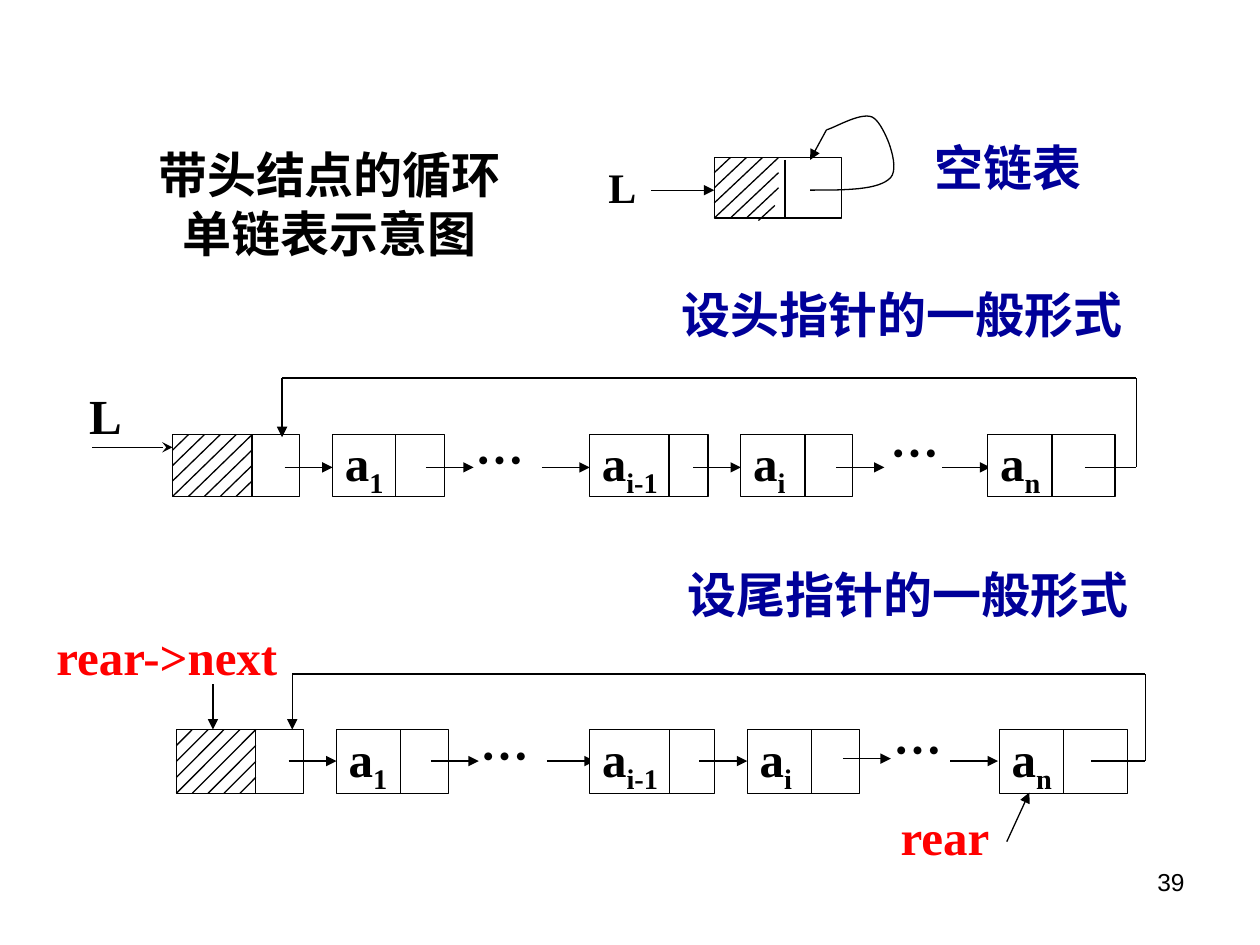
from collections import namedtuple
from dataclasses import dataclass

from pptx import Presentation
from pptx.dml.color import RGBColor
from pptx.enum.shapes import MSO_CONNECTOR, MSO_SHAPE
from pptx.enum.text import MSO_ANCHOR, PP_ALIGN
from pptx.oxml.ns import qn
from pptx.util import Pt
from lxml.etree import SubElement

Box = namedtuple("Box", "x y w h")
Node = namedtuple("Node", "sub x w split starts")


@dataclass(frozen=True)
class Theme:
    black: RGBColor = RGBColor(0, 0, 0)
    white: RGBColor = RGBColor(255, 255, 255)
    blue: RGBColor = RGBColor(0, 0, 0x99)
    red: RGBColor = RGBColor(255, 0, 0)
    serif: str = "Times New Roman"
    hans: str = "Noto Sans CJK SC"
    sans: str = "Arial"
    big: int = 28
    mid: int = 24
    small: int = 14
    rule: float = 0.75
    arrow: float = 27.4


theme = Theme()


def apply(item, values):
    for name, value in values.items():
        setattr(item, name, value)


def within(box, x, y, w, h):
    return Box(box.x + x, box.y + y, w, h)


def write(shape, text, sub="", align=PP_ALIGN.JUSTIFY, anchor=MSO_ANCHOR.MIDDLE,
          space=0.8, face=theme.serif, size=theme.big, color=theme.black, bold=True):
    frame = shape.text_frame
    apply(frame, {"word_wrap": True, "vertical_anchor": anchor,
                  "margin_left": Pt(7.2), "margin_right": Pt(7.2),
                  "margin_top": Pt(3.6), "margin_bottom": Pt(3.6)})
    para = frame.paragraphs[0]
    apply(para, {"alignment": align, "line_spacing": space})
    for part, base in ((text, 0), (sub, -25000)):
        if not part:
            continue
        run = para.add_run()
        run.text = part
        apply(run.font, {"name": face, "size": Pt(size), "bold": bold})
        run.font.color.rgb = color
        props = run._r.get_or_add_rPr()
        SubElement(props, qn("a:ea")).set("typeface", theme.hans)
        if base:
            props.set("baseline", str(base))


def label(slide, box, text, **look):
    write(slide.shapes.add_textbox(*map(Pt, box)), text, **look)


def title(slide, box, text, color=theme.blue, align=PP_ALIGN.CENTER):
    label(slide, box, text, color=color, align=align, face=theme.hans,
          anchor=MSO_ANCHOR.TOP, space=1.0)


def line(slide, box, start, end, head=None):
    ends = (box.x + start[0], box.y + start[1], box.x + end[0], box.y + end[1])
    wire = slide.shapes.add_connector(MSO_CONNECTOR.STRAIGHT, *map(Pt, ends))
    wire.line.color.rgb = theme.black
    wire.line.width = Pt(theme.rule)
    props = wire._element.spPr
    if head:
        SubElement(props.find(qn("a:ln")), qn("a:tailEnd")).set("type", head)
    SubElement(props, qn("a:effectLst"))


def block(slide, box, edge=True):
    shape = slide.shapes.add_shape(MSO_SHAPE.RECTANGLE, *map(Pt, box))
    shape.shadow.inherit = False
    shape.fill.solid()
    shape.fill.fore_color.rgb = theme.white
    if edge:
        shape.line.color.rgb = theme.black
        shape.line.width = Pt(theme.rule)
    else:
        shape.line.fill.background()
    return shape


def hatch(slide, box, cols, count):
    dx, dy = box.w / cols, box.h / 4
    for k in range(1, count + 1):
        line(slide, box, (min(k, cols) * dx, max(0, k - cols) * dy),
             (max(0, k - 4) * dx, min(k, 4) * dy))


def curve(slide, box, start, bends):
    spots, last = [], start
    for bend in bends:
        knots = (last, *bend)
        for step in range(1, 17):
            t = step / 16
            mix = ((1 - t) ** 3, 3 * t * (1 - t) ** 2, 3 * t * t * (1 - t), t ** 3)
            spots.append(tuple(Pt(base + sum(m * p[axis] for m, p in zip(mix, knots)))
                               for axis, base in enumerate((box.x, box.y))))
        last = bend[-1]
    pen = slide.shapes.build_freeform(Pt(box.x + start[0]), Pt(box.y + start[1]))
    pen.add_line_segments(spots, close=False)
    shape = pen.convert_to_shape()
    shape.shadow.inherit = False
    shape.fill.background()
    shape.line.color.rgb = theme.black
    shape.line.width = Pt(theme.rule)


def empty(slide, box):
    block(slide, box)
    hatch(slide, within(box, 0, 0, 36.7, box.h), 4, 6)
    line(slide, box, (34.6, 27.4), (25.2, 36))
    line(slide, box, (40.3, 1.4), (40.3, 35.3))
    line(slide, box, (64.1, -15.8), (54.7, 1.4), "triangle")
    line(slide, box, (-36, 18.7), (0, 18.7), "triangle")
    curve(slide, box, (54.7, 18.7), (
        ((74.9, 18.7), (94.3, 18.7), (100.8, 11.5)),
        ((106.6, 5), (97.2, -18), (91.4, -22.3)),
        ((85.7, -27.4), (68.4, -16.6), (64.1, -15.8))))
    label(slide, within(box, -69.1, -2.9, 31.7, 38.9), "L",
          align=PP_ALIGN.RIGHT, size=theme.mid, space=1.0)
    title(slide, within(box, 100.1, -15.1, 135.4, 41), "空链表")


def chain(slide, box, nodes, dots, loop, mid, dip=0, drop=0):
    for x, y in dots:
        write(block(slide, within(box, x, y, 54.7, box.h), False), "…", face=theme.hans)
    block(slide, within(box, 0, 0, 72.7, box.h))
    hatch(slide, within(box, 0, 0, 45.4, box.h), 5, 8)
    line(slide, box, (45.4, 0), (45.4, box.h))
    for node in nodes:
        for i, x in enumerate(node.starts):
            y = mid - dip if node.sub == "n" and i == 0 else mid
            line(slide, box, (x, y), (x + theme.arrow, y), "triangle")
        cell = within(box, node.x, 0, node.w, box.h)
        write(block(slide, cell), "a", node.sub)
        line(slide, cell, (node.split, 0), (node.split, box.h))
    left, top, tail = loop
    line(slide, box, (tail, mid), (box.w, mid))
    line(slide, box, (box.w, top), (box.w, mid))
    line(slide, box, (left, top), (box.w, top))
    line(slide, box, (left, top), (left, drop), "triangle")


def front(slide, box):
    chain(slide, box, (
        Node("1", 91.4, 64, 36, (64.1,)),
        Node("i-1", 238.3, 67.7, 45.4, (144.7, 211)),
        Node("i", 324.7, 64, 36.7, (297.4,)),
        Node("n", 465.8, 72.7, 36.7, (379.4, 439.9))),
        dots=((166.3, 0), (403.2, -4.3)), loop=(62.6, -32.4, 521.3), mid=18.7, drop=1.4)
    line(slide, box, (-46, 7.2), (0, 7.2), "stealth")
    label(slide, within(box, -54.7, -26.6, 34.6, 36.7), "L")
    title(slide, within(box, 275, -89.3, 283.7, 41), "设头指针的一般形式")


def rear(slide, box):
    chain(slide, box, (
        Node("1", 91.4, 64, 36.7, (64.1,)),
        Node("i-1", 236.2, 71.3, 45.4, (145.4, 211.7)),
        Node("i", 326.2, 64, 36.7, (298.8,)),
        Node("n", 470.2, 73.4, 36.7, (380.9, 442.1))),
        dots=((167, 0), (402.5, -3.6)), loop=(66.2, -31.7, 522.7), mid=18, dip=1.4)
    line(slide, box, (20.9, -25.9), (20.9, 0), "triangle")
    line(slide, box, (474.5, 64.1), (487.4, 36), "triangle")
    label(slide, within(box, -75.6, -65.5, 153.4, 52.6), "rear->next", color=theme.red)
    label(slide, within(box, 406.8, 46.8, 75.6, 34.6), "rear", color=theme.red)
    title(slide, within(box, 285.1, -97.9, 308.9, 41), "设尾指针的一般形式",
          align=PP_ALIGN.LEFT)


def main():
    deck = Presentation()
    apply(deck, {"slide_width": Pt(720), "slide_height": Pt(540)})
    slide = deck.slides.add_slide(deck.slide_layouts[6])
    empty(slide, Box(408.2, 90, 72.7, 34.6))
    front(slide, Box(98.6, 248.4, 550.8, 35.3))
    rear(slide, Box(100.8, 416.9, 553.7, 36.4))
    title(slide, Box(73.4, 79.2, 229.7, 74.9), "带头结点的循环单链表示意图", theme.black)
    label(slide, Box(516.2, 491.8, 167.8, 37.4), "39", align=PP_ALIGN.RIGHT, space=1.0,
          anchor=MSO_ANCHOR.TOP, face=theme.sans, size=theme.small, bold=False)
    deck.save("out.pptx")


if __name__ == "__main__":
    main()
